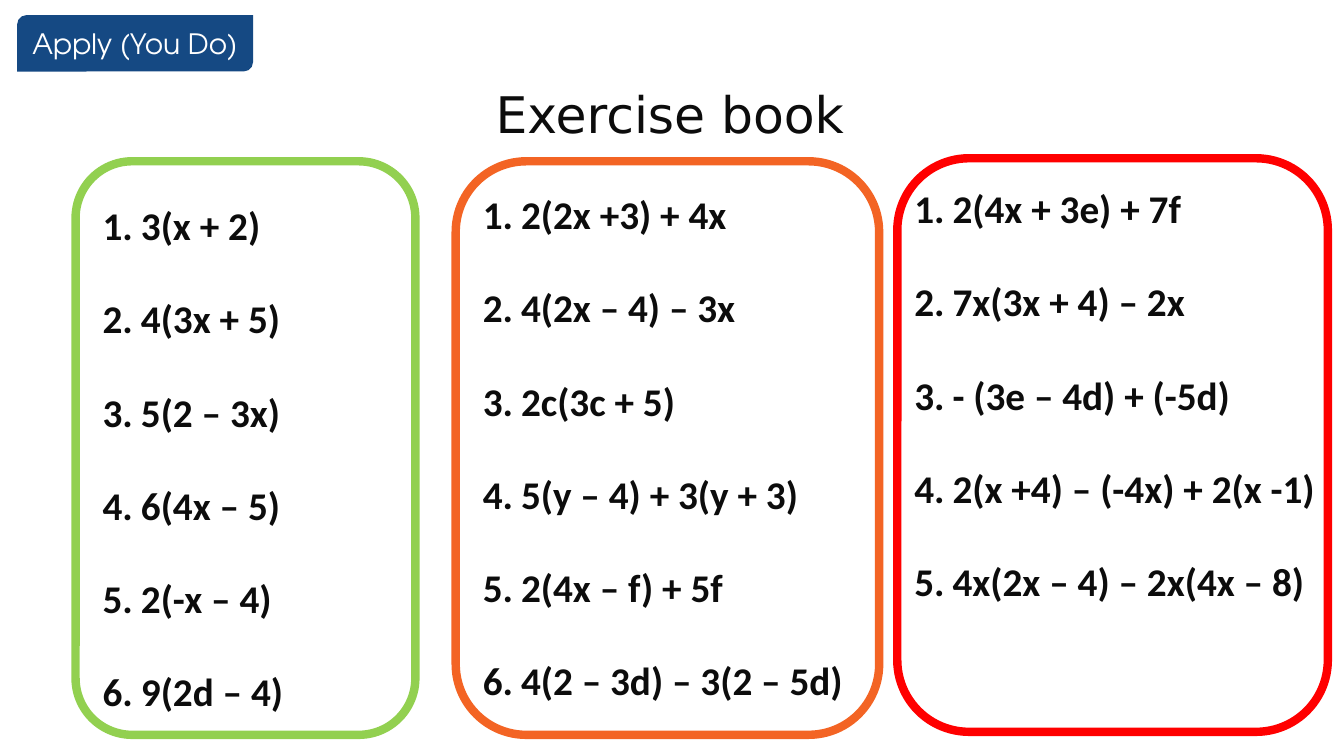
from dataclasses import dataclass

from lxml import etree
from pptx import Presentation
from pptx.dml.color import RGBColor
from pptx.enum.shapes import MSO_SHAPE
from pptx.enum.text import MSO_ANCHOR, MSO_AUTO_SIZE, PP_ALIGN
from pptx.oxml.ns import qn
from pptx.util import Inches, Pt

TAG_SHAPE = MSO_SHAPE.ROUND_2_DIAG_RECTANGLE
CARD_SHAPE = MSO_SHAPE.ROUNDED_RECTANGLE
TOP, MIDDLE = MSO_ANCHOR.TOP, MSO_ANCHOR.MIDDLE
CENTER, LEFT = PP_ALIGN.CENTER, PP_ALIGN.LEFT
NO_AUTOFIT = MSO_AUTO_SIZE.NONE
TITLE_ONLY = 5


@dataclass(frozen=True)
class Theme:
    """Colours, type formats and spacing of the slide."""
    ink: RGBColor = RGBColor.from_string("0C0C0C")
    white: RGBColor = RGBColor.from_string("FFFFFF")
    navy: RGBColor = RGBColor.from_string("154983")
    green: RGBColor = RGBColor.from_string("92D050")
    orange: RGBColor = RGBColor.from_string("F36424")
    red: RGBColor = RGBColor.from_string("FF0000")
    outline: Pt = Pt(6)
    question_gap: Pt = Pt(33)
    number_indent: Inches = Inches(0.38)

    @property
    def tag_font(self):
        """Return the format of the lesson tag."""
        return {"name": "TeX Gyre Adventor", "size": Pt(20), "color": self.white}

    @property
    def title_font(self):
        """Return the format of the title."""
        return {"name": "DejaVu Sans", "size": Pt(36), "color": self.ink}

    @property
    def question_font(self):
        """Return the format of the questions."""
        return {"name": "Calibri", "size": Pt(28), "bold": True, "color": self.ink}


THEME = Theme()

EXERCISES = [
    {
        "color": THEME.green,
        "box": (0.75, 1.6, 3.37, 5.69),
        "inset": (0.17, 0.35),
        "questions": ["3(x + 2)", "4(3x + 5)", "5(2 – 3x)", "6(4x – 5)",
                      "2(-x – 4)", "9(2d – 4)"],
    },
    {
        "color": THEME.orange,
        "box": (4.52, 1.6, 4.2, 5.69),
        "inset": (0.17, 0.24),
        "questions": ["2(2x +3) + 4x", "4(2x – 4) – 3x", "2c(3c + 5)",
                      "5(y – 4) + 3(y + 3)", "2(4x – f) + 5f",
                      "4(2 – 3d) – 3(2 – 5d)"],
    },
    {
        "color": THEME.red,
        "box": (8.9, 1.57, 4.27, 5.69),
        "inset": (0.07, 0.21),
        "questions": ["2(4x + 3e) + 7f", "7x(3x + 4) – 2x", "- (3e – 4d) + (-5d)",
                      "2(x +4) – (-4x) + 2(x -1)", "4x(2x – 4) – 2x(4x – 8)"],
    },
]


def inches(box):
    """Convert a box of numbers to lengths."""
    return [Inches(value) for value in box]


def set_attributes(target, values):
    """Set each named value on the target."""
    for name, value in values.items():
        setattr(target, name, value)


def write_text(paragraph, text, font):
    """Add a run of text in the given format."""
    run = paragraph.add_run()
    run.text = text
    for name, value in font.items():
        if name == "color":
            run.font.color.rgb = value
        else:
            setattr(run.font, name, value)


def number_paragraph(paragraph):
    """Give a paragraph an automatic number and a hanging indent."""
    properties = paragraph._p.get_or_add_pPr()
    properties.set("marL", str(THEME.number_indent))
    properties.set("indent", str(-THEME.number_indent))
    etree.SubElement(properties, qn("a:buAutoNum"), type="arabicPeriod")


def add_tag(slide, box, text):
    """Add the lesson tag in the corner of the slide."""
    tag = slide.shapes.add_shape(TAG_SHAPE, *inches(box))
    tag.shadow.inherit = False
    tag.fill.solid()
    tag.fill.fore_color.rgb = THEME.navy
    tag.line.fill.background()
    set_attributes(tag.text_frame, {"vertical_anchor": MIDDLE, "word_wrap": False})
    paragraph = tag.text_frame.paragraphs[0]
    paragraph.alignment = CENTER
    write_text(paragraph, text, THEME.tag_font)


def place_title(slide, box, text):
    """Move the title placeholder to its box and fill it."""
    title = slide.shapes.title
    set_attributes(title, dict(zip(("left", "top", "width", "height"), inches(box))))
    set_attributes(title.text_frame, {
        "vertical_anchor": TOP, "word_wrap": True, "auto_size": NO_AUTOFIT})
    paragraph = title.text_frame.paragraphs[0]
    set_attributes(paragraph, {
        "alignment": CENTER, "line_spacing": 0.9, "space_before": Pt(0)})
    write_text(paragraph, text, THEME.title_font)


def add_exercise(slide, box, color, inset, questions):
    """Add an outlined card with its numbered questions."""
    left, top, width, height = box
    card = slide.shapes.add_shape(CARD_SHAPE, *inches(box))
    card.shadow.inherit = False
    card.fill.background()
    card.line.color.rgb = color
    card.line.width = THEME.outline

    inset_x, inset_y = inset
    text_box = (left + inset_x, top + inset_y, width - inset_x, height - inset_y)
    frame = slide.shapes.add_textbox(*inches(text_box)).text_frame
    set_attributes(frame, {"word_wrap": True, "margin_right": 0, "vertical_anchor": TOP})
    for index, question in enumerate(questions):
        paragraph = frame.add_paragraph() if index else frame.paragraphs[0]
        number_paragraph(paragraph)
        set_attributes(paragraph, {
            "alignment": LEFT, "space_before": THEME.question_gap if index else Pt(0)})
        write_text(paragraph, question, THEME.question_font)


def main():
    """Build the exercise slide and save it."""
    presentation = Presentation()
    set_attributes(presentation, {
        "slide_width": Inches(13.33), "slide_height": Inches(7.5)})
    slide = presentation.slides.add_slide(presentation.slide_layouts[TITLE_ONLY])
    add_tag(slide, (0.17, 0.15, 2.34, 0.56), "Apply (You Do)")
    place_title(slide, (0.17, 0.84, 12.95, 0.7), "Exercise book")
    for exercise in EXERCISES:
        add_exercise(slide, **exercise)
    presentation.save("out.pptx")


if __name__ == "__main__":
    main()
